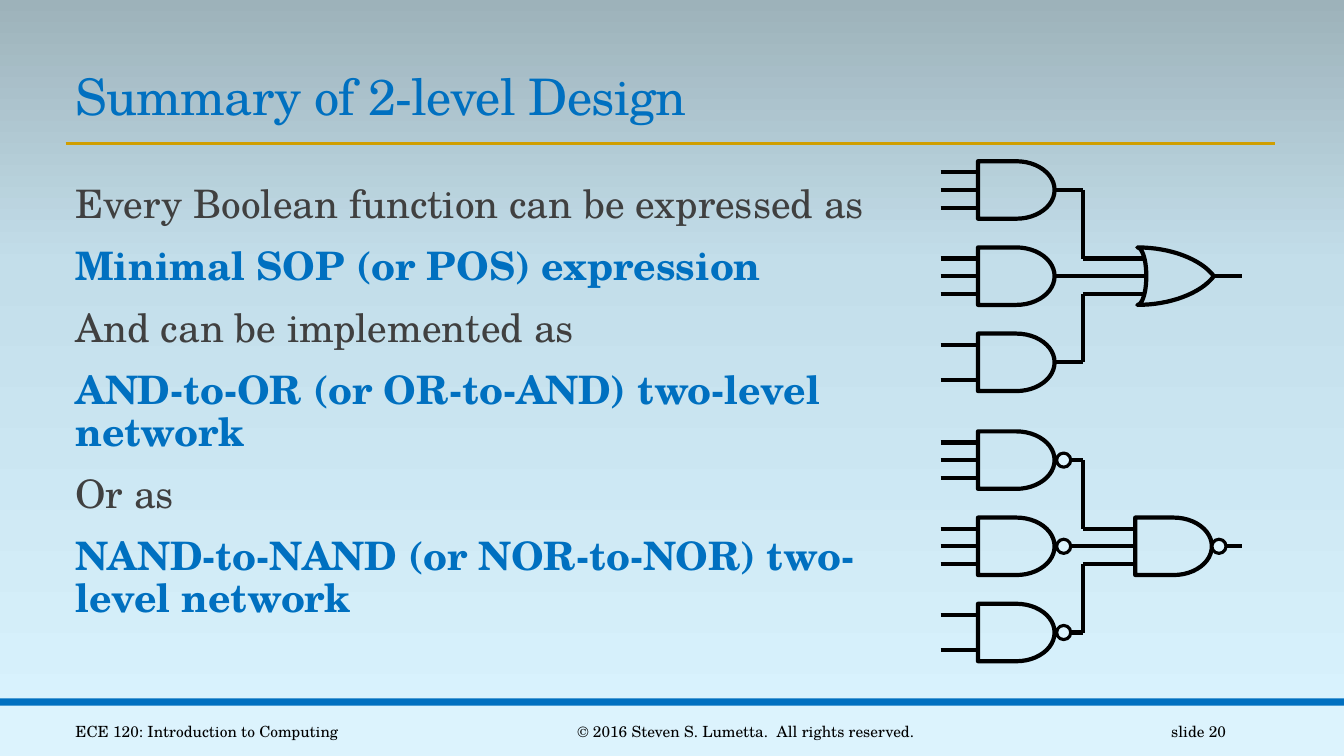
from copy import deepcopy
from dataclasses import dataclass

from lxml import etree
from pptx import Presentation
from pptx import util as u
from pptx.dml.color import RGBColor
from pptx.enum import shapes, text
from pptx.oxml.ns import qn

BLUE = RGBColor(0x00, 0x70, 0xC0)
GOLD = RGBColor(0xD0, 0x9E, 0x00)
GRAY = RGBColor(0x40, 0x40, 0x40)
BLACK = RGBColor(0x00, 0x00, 0x00)
PALE = RGBColor(0xDC, 0xF3, 0xFD)
SKY = [(0, RGBColor(0xDA, 0xF4, 0xFF)), (0.65, RGBColor(0xC3, 0xDE, 0xEA)),
       (1, RGBColor(0x9D, 0xB2, 0xBA))]
FONT = "TeX Gyre Schola"
RECT = shapes.MSO_SHAPE.RECTANGLE
GATE = shapes.MSO_SHAPE.FLOWCHART_DELAY
BALL = shapes.MSO_SHAPE.OVAL
LEFT, RIGHT = text.PP_ALIGN.LEFT, text.PP_ALIGN.RIGHT
TOP, MID, BOTTOM = (text.MSO_ANCHOR.TOP, text.MSO_ANCHOR.MIDDLE,
                    text.MSO_ANCHOR.BOTTOM)

GATE_X, GATE_W, GATE_H = 9.7, 0.76, 0.57
PITCH = 0.855     # between gates of the first level
PIN = 0.175       # between inputs of one gate
LEAD = 0.37       # length of an input
BUS_X = 10.74     # where the outer outputs turn
END_X = 12.32
DOT = 0.14


@dataclass
class Line:
    words: str
    color: RGBColor = BLACK
    bold: bool = False


@dataclass
class Box:
    x: float
    y: float
    w: float
    h: float
    size: float
    lines: list[Line]
    align: text.PP_ALIGN = LEFT
    anchor: text.MSO_ANCHOR = MID
    spacing: float = 1.0
    before: float = 0
    after: float = 0


@dataclass
class Network:
    mid: float
    nand: bool
    out_x: float      # left edge of the second-level gate
    pin_x: float      # where its inputs end


BOXES = [
    Box(0.65, 0.59, 12.01, 0.71, 36, [Line("Summary of 2-level Design", BLUE)],
        anchor=BOTTOM, spacing=0.85),
    Box(0.65, 1.78, 8.52, 4.64, 28, [
        Line("Every Boolean function can be expressed as", GRAY),
        Line("Minimal SOP (or POS) expression", BLUE, True),
        Line("And can be implemented as", GRAY),
        Line("AND-to-OR (or OR-to-AND) two-level network", BLUE, True),
        Line("Or as", GRAY),
        Line("NAND-to-NAND (or NOR-to-NOR) two-level network", BLUE, True),
    ], anchor=TOP, spacing=0.9, before=12, after=2),
    Box(0.65, 7.06, 3.25, 0.4, 11, [Line("ECE 120: Introduction to Computing")]),
    Box(4.03, 7.06, 5.14, 0.4, 11,
        [Line("© 2016 Steven S. Lumetta.  All rights reserved.")], RIGHT),
    Box(10.83, 7.06, 1.43, 0.4, 11, [Line("slide 20")], RIGHT),
]
NETWORKS = [Network(2.74, False, 11.28, 11.37), Network(5.42, True, 11.26, 11.26)]


def paint_back(slide):
    fill = slide.background.fill
    fill.gradient()
    fill.gradient_angle = 90
    stops = slide.element.find(".//" + qn("a:gsLst"))
    stops.append(deepcopy(stops[0]))
    for stop, (place, color) in zip(fill.gradient_stops, SKY):
        stop.color.rgb = color
        stop.position = place


def add_box(slide, box: Box):
    shape = slide.shapes.add_textbox(*map(u.Inches, (box.x, box.y, box.w, box.h)))
    frame = shape.text_frame
    frame.text = "\n".join(line.words for line in box.lines)
    frame.word_wrap = True
    frame.vertical_anchor = box.anchor
    if box.before:
        frame.margin_right = 0
    for line, par in zip(box.lines, frame.paragraphs):
        par.alignment = box.align
        par.line_spacing = box.spacing
        par.space_before, par.space_after = u.Pt(box.before), u.Pt(box.after)
        font = par.runs[0].font
        font.name, font.size = FONT, u.Pt(box.size)
        font.bold, font.color.rgb = line.bold, line.color
    return shape


def style(shape, fill=None, width=0.0):
    shape.shadow.inherit = False
    if fill is None:
        shape.fill.background()
    else:
        shape.fill.solid()
        shape.fill.fore_color.rgb = fill
    if width:
        shape.line.color.rgb = BLACK
        shape.line.width = u.Pt(width)
    else:
        shape.line.fill.background()
    return shape


def add_shape(slide, kind, x: float, y: float, w: float, h: float,
              fill=None, width=0.0):
    return style(slide.shapes.add_shape(kind, *map(u.Inches, (x, y, w, h))),
                 fill, width)


def add_wire(slide, x1: float, y1: float, x2: float, y2: float,
             color=BLACK, width=3.0):
    wire = slide.shapes.add_connector(shapes.MSO_CONNECTOR.STRAIGHT,
                                      *map(u.Inches, (x1, y1, x2, y2)))
    wire.line.color.rgb = color
    wire.line.width = u.Pt(width)
    etree.SubElement(wire.element.spPr, qn("a:effectLst"))
    return wire


def add_gate(slide, x: float, mid: float):
    return add_shape(slide, GATE, x, mid - GATE_H / 2, GATE_W, GATE_H, width=3)


def add_dot(slide, x: float, mid: float):
    """Draw the small circle that inverts an output."""
    add_shape(slide, BALL, x, mid - DOT / 2, DOT, DOT, PALE, 2.25)


def curve(a, b, c, d, steps=16):
    """List points along a cubic Bezier curve."""
    return [tuple((1 - t)**3 * p + 3 * t * (1 - t)**2 * q
                  + 3 * t * t * (1 - t) * r + t**3 * s
                  for p, q, r, s in zip(a, b, c, d))
            for t in (i / steps for i in range(steps + 1))]


def add_or(slide, x: float, mid: float):
    top = -GATE_H / 2
    half = (curve((0.09, 0), (0.09, -0.16), (0.05, top), (0, top))
            + curve((0, top), (0.33, top), (0.63, -0.17), (GATE_W, 0))[1:])
    ring = half + [(dx, -dy) for dx, dy in half[-2:0:-1]]
    points = [(u.Inches(x + dx), u.Inches(mid + dy)) for dx, dy in ring]
    pen = slide.shapes.build_freeform(*points[0])
    pen.add_line_segments(points[1:])
    style(pen.convert_to_shape(), width=3)


def add_network(slide, net: Network):
    gate_end = GATE_X + GATE_W
    last = add_gate(slide, net.out_x, net.mid) if net.nand else None
    if not net.nand:
        add_or(slide, net.out_x, net.mid)
    out_end = net.out_x + GATE_W
    tail = add_wire(slide, out_end, net.mid, END_X, net.mid)
    if last:
        tail.begin_connect(last, 3)

    for row in (-1, 0, 1):
        mid, pin_y = net.mid + row * PITCH, net.mid + row * PIN
        gate = add_gate(slide, GATE_X, mid)
        for pin in (-1, 1) if row == 1 else (-1, 0, 1):
            y = mid + pin * PIN
            wire = add_wire(slide, GATE_X - LEAD, y, GATE_X, y)
            if pin == 0:
                wire.end_connect(gate, 1)
        out = add_wire(slide, gate_end, mid, BUS_X if row else net.pin_x, mid)
        out.begin_connect(gate, 3)
        if row:
            add_wire(slide, BUS_X, mid, BUS_X, pin_y)
            add_wire(slide, BUS_X, pin_y, net.pin_x, pin_y)
        elif last:
            out.end_connect(last, 1)
        if net.nand:
            add_dot(slide, gate_end + 0.02, mid)
    if net.nand:
        add_dot(slide, out_end, net.mid)


def main():
    deck = Presentation()
    deck.slide_width, deck.slide_height = u.Inches(13.33), u.Inches(7.5)
    slide = deck.slides.add_slide(deck.slide_layouts[6])
    paint_back(slide)
    add_shape(slide, RECT, 0, 7, 13.33, 0.5, PALE)
    add_shape(slide, RECT, 0, 6.93, 13.33, 0.07, BLUE)
    add_wire(slide, 0.65, 1.42, 12.65, 1.42, GOLD, 2)
    title, *_ = [add_box(slide, box) for box in BOXES]
    for props in title.element.iter(qn("a:rPr")):
        props.set("spc", "-50")
    for net in NETWORKS:
        add_network(slide, net)
    deck.save("out.pptx")


if __name__ == "__main__":
    main()
